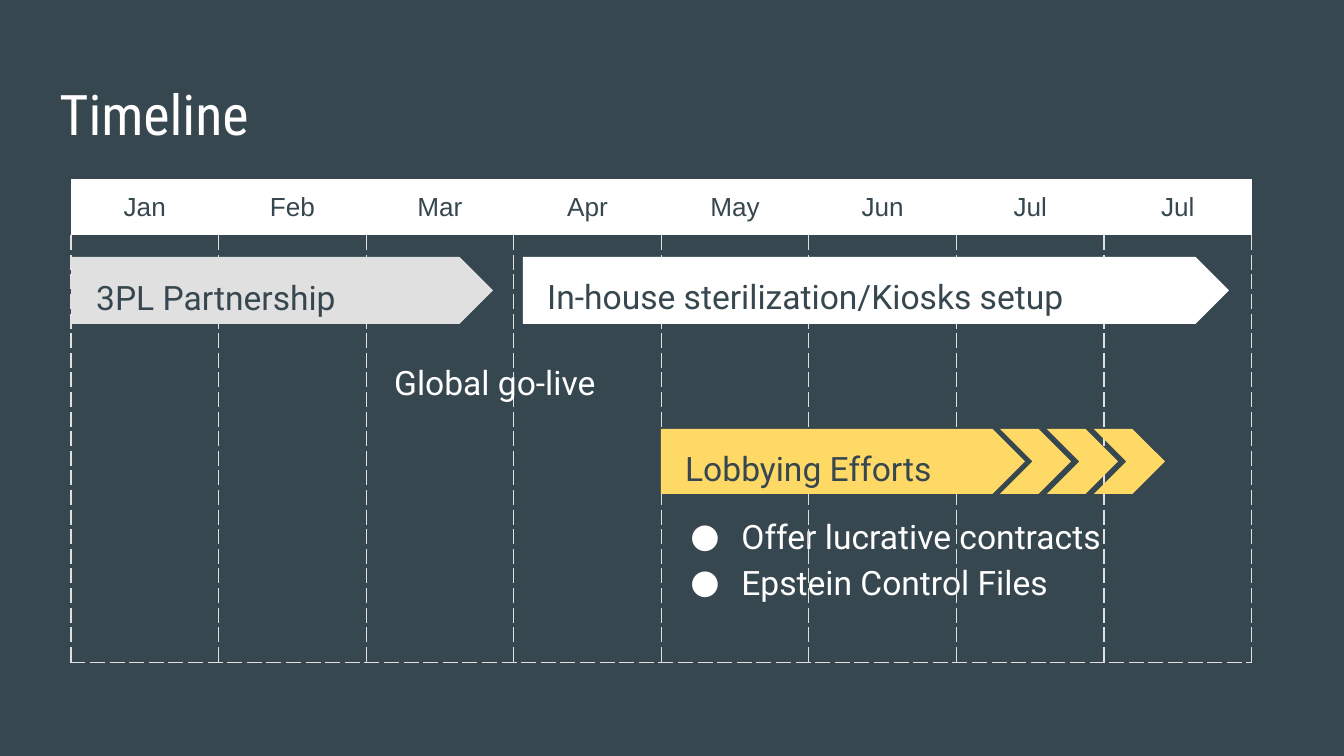
from lxml import etree
from pptx import Presentation
from pptx import util as u
from pptx.dml.color import RGBColor
from pptx.enum import shapes, text
from pptx.oxml import ns

SLATE, WHITE, GREY, YELLOW = "37474F", "FFFFFF", "E0E0E0", "FFD966"
MONTHS = ["Jan", "Feb", "Mar", "Apr", "May", "Jun", "Jul", "Jul"]
LABEL = {"name": "Roboto", "size": u.Pt(18)}
HEADING = {"name": "Roboto Condensed", "size": u.Pt(30)}
MONTH = {"name": "Arial", "size": u.Pt(14), "bold": False}
NO_STYLE = "{2D5ABB26-0587-4C30-8999-92F81FD0307C}"


def px(value):
    return u.Emu(round(value * 9144000 / 1344))


def color(value):
    return RGBColor.from_string(value)


def child(parent, tag, **attributes):
    return etree.SubElement(parent, ns.qn(tag), attributes)


class TimelineSlide:
    """Hold the style and the current slide, and draw each kind of element."""

    def __init__(self, presentation):
        self.slide = presentation.slides.add_slide(presentation.slide_layouts[1])
        self.slide.background.fill.solid()
        self.slide.background.fill.fore_color.rgb = color(SLATE)

    def style(self, paragraph, font, ink, **formats):
        for name, value in formats.items():
            setattr(paragraph, name, value)
        for name, value in font.items():
            setattr(paragraph.font, name, value)
        paragraph.font.color.rgb = color(ink)

    def fill_text(self, shape, lines, font, ink, bullet=None, spacing=1.15):
        frame = shape.text_frame
        frame.text = "\n".join(lines)
        settings = {"word_wrap": True, "auto_size": text.MSO_AUTO_SIZE.NONE,
                    "vertical_anchor": text.MSO_ANCHOR.TOP}
        settings.update({f"margin_{side}": u.Inches(0.1)
                         for side in ("left", "right", "top", "bottom")})
        for name, value in settings.items():
            setattr(frame, name, value)
        for paragraph in frame.paragraphs:
            if bullet:
                self.bullet(paragraph, bullet, ink)
            self.style(paragraph, font, ink, line_spacing=spacing,
                       space_before=u.Pt(0), alignment=text.PP_ALIGN.LEFT)

    def bullet(self, paragraph, symbol, ink):
        properties = paragraph._p.get_or_add_pPr()
        properties.set("marL", str(px(67)))
        properties.set("indent", str(px(-51)))
        child(child(properties, "a:buClr"), "a:srgbClr", val=ink)
        child(properties, "a:buFont", typeface="Roboto")
        child(properties, "a:buChar", char=symbol)

    def placeholder(self, index, box, lines, font, **options):
        shape = self.slide.placeholders[index]
        for name, value in zip(("left", "top", "width", "height"), box):
            setattr(shape, name, px(value))
        self.fill_text(shape, lines, font, WHITE, **options)

    def label(self, box, words, ink):
        shape = self.slide.shapes.add_textbox(*map(px, box))
        self.fill_text(shape, [words], LABEL, ink)

    def arrow(self, box, fill, kind=shapes.MSO_SHAPE.PENTAGON, group=None):
        parent = group or self.slide
        shape = parent.shapes.add_shape(kind, *map(px, box))
        shape.shadow.inherit = False
        shape.fill.solid()
        shape.fill.fore_color.rgb = color(fill)
        shape.line.fill.background()

    def chevron_arrow(self, left, top, height, fill):
        group = self.slide.shapes.add_group_shape()
        self.arrow((left, top, 364, height), fill, group=group)
        for step in range(3):
            self.arrow((left + 339 + 47 * step, top, 71, height), fill,
                       shapes.MSO_SHAPE.CHEVRON, group)

    def dash_borders(self, cell):
        properties = cell._tc.get_or_add_tcPr()
        for side in ("a:lnL", "a:lnR", "a:lnB"):
            line = child(properties, side, w=str(u.Pt(0.75)))
            child(child(line, "a:solidFill"), "a:srgbClr", val=GREY)
            child(line, "a:prstDash", val="dash")

    def calendar(self, box, months, row_heights):
        frame = self.slide.shapes.add_table(2, len(months), *map(px, box))
        table = frame.table
        table.first_row = table.horz_banding = False
        table._tbl.tblPr.find(ns.qn("a:tableStyleId")).text = NO_STYLE
        for row, height in zip(table.rows, row_heights):
            row.height = px(height)
        for index, month in enumerate(months):
            table.columns[index].width = px(box[2] / len(months))
            header, body = table.cell(0, index), table.cell(1, index)
            for side in ("left", "right", "top", "bottom"):
                setattr(header, f"margin_{side}", u.Inches(0.1))
            header.text = month
            self.style(header.text_frame.paragraphs[0], MONTH, SLATE,
                       alignment=text.PP_ALIGN.CENTER)
            header.fill.solid()
            header.fill.fore_color.rgb = color(WHITE)
            self.dash_borders(body)
            body.fill.background()


def main():
    presentation = Presentation()
    presentation.slide_width, presentation.slide_height = px(1344), px(756)
    timeline = TimelineSlide(presentation)
    timeline.placeholder(0, (46, 66, 1253, 85), ["Timeline"], HEADING, spacing=1.0)
    timeline.calendar((71, 179, 1181, 481), MONTHS, (54, 427))
    timeline.arrow((71, 257, 422, 67), GREY)
    timeline.label((83, 257, 378, 67), "3PL Partnership", SLATE)
    timeline.arrow((523, 257, 706, 67), WHITE)
    timeline.label((534, 256, 657, 67), "In-house sterilization/Kiosks setup", SLATE)
    timeline.label((381, 343, 296, 67), "Global go-live", WHITE)
    timeline.chevron_arrow(661, 429, 65, YELLOW)
    timeline.label((672, 428, 378, 67), "Lobbying Efforts", SLATE)
    timeline.placeholder(1, (661, 496, 504, 148),
                         ["Offer lucrative contracts", "Epstein Control Files"],
                         LABEL, bullet="●")
    presentation.save("out.pptx")


if __name__ == "__main__":
    main()
